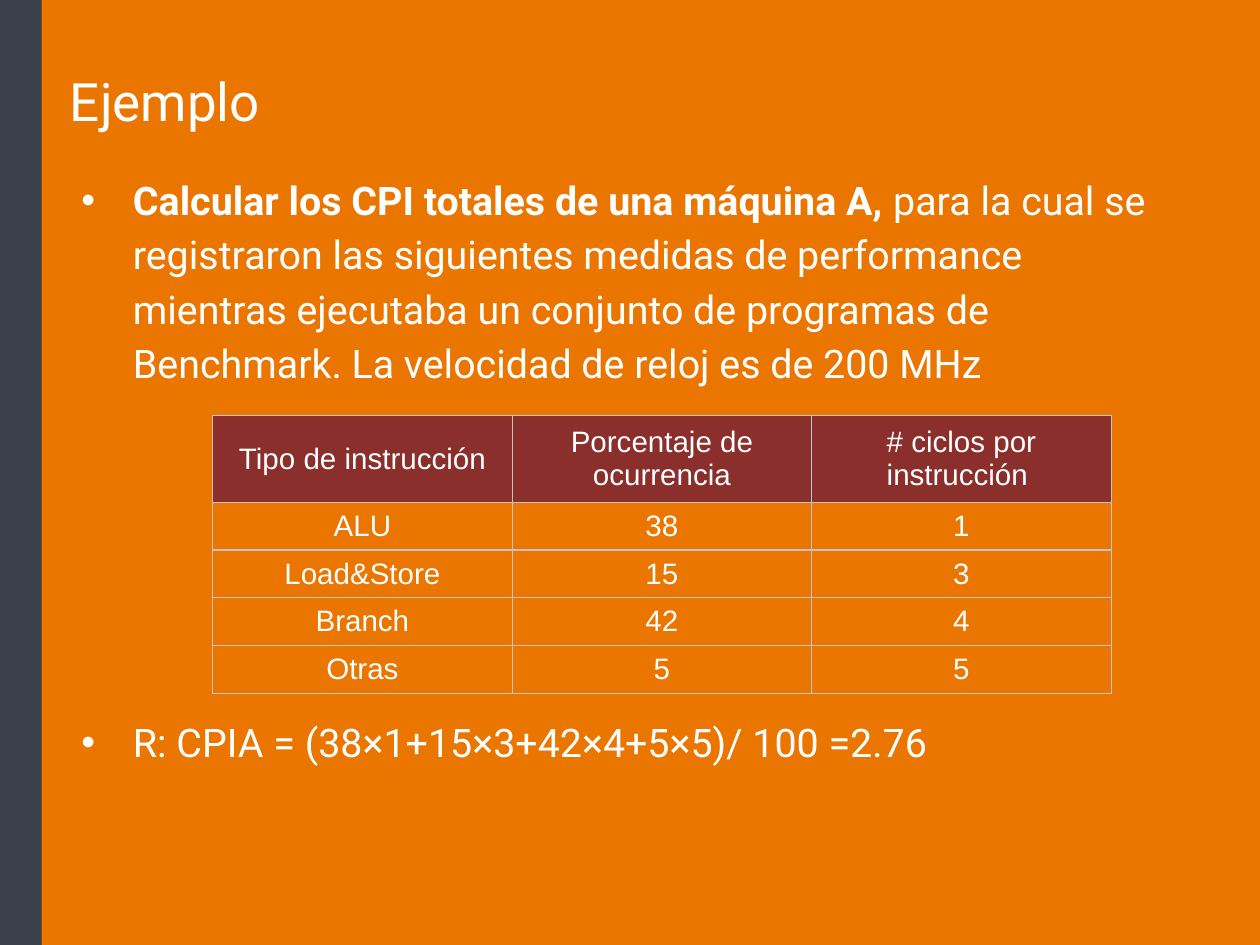
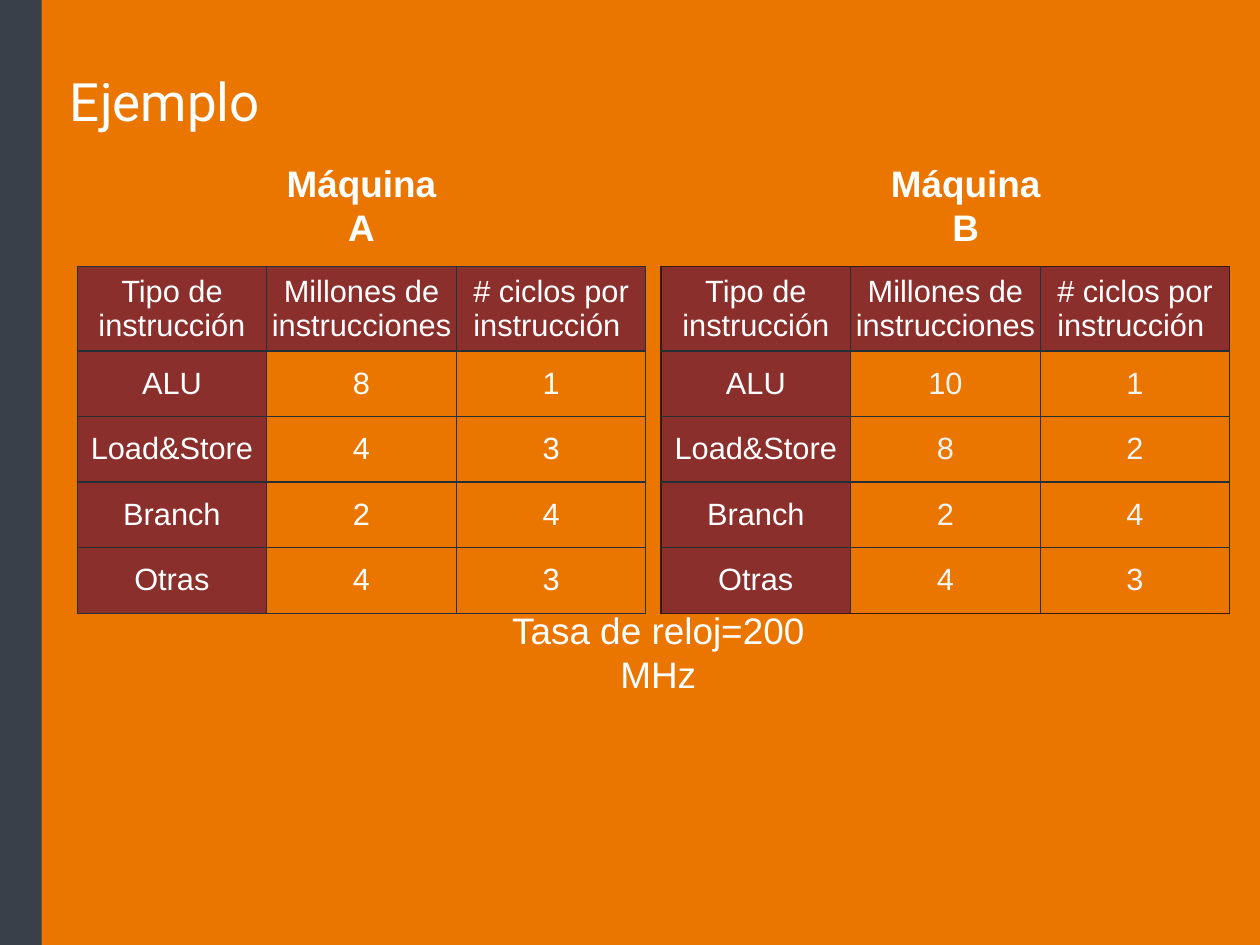
from lxml.etree import SubElement as Sub
from pptx import Presentation as Deck
from pptx.dml.color import RGBColor as RGB
from pptx.enum.shapes import MSO_SHAPE as Geo
from pptx.enum.text import MSO_ANCHOR as Anchor, PP_ALIGN as Align
from pptx.oxml import parse_xml
from pptx.oxml.ns import nsdecls, qn
from pptx.util import Inches, Pt

HUES = {
    "back": "EA7600",
    "band": "394049",
    "head": "8B2F2C",
    "text": "FFFFFF",
    "soft": "F3F3F3",
    "pale": "C4C4C4",
    "dark": "252F36",
    "edge": "36190F",
}
WIDE, HIGH = 14.22, 10.67
PAD = 0.06


def hue(name):
    return RGB.from_string(HUES[name])


class Board:
    """Holds the shared style and the current slide."""

    def __init__(self):
        self.deck = Deck()
        self.deck.slide_width = Inches(WIDE)
        self.deck.slide_height = Inches(HIGH)
        fill = self.deck.slide_master.background.fill
        fill.solid()
        fill.fore_color.rgb = hue("back")
        self.slide = None

    def page(self, title):
        self.slide = self.deck.slides.add_slide(self.deck.slide_layouts[6])
        band = self.slide.shapes.add_shape(
            Geo.RECTANGLE, 0, 0, Inches(0.47), Inches(HIGH))
        band.shadow.inherit = False
        band.fill.solid()
        band.fill.fore_color.rgb = hue("band")
        band.line.fill.background()
        frame = self.frame(0.73, 0.41, 11.8, 1.44, Anchor.MIDDLE)
        self.run(frame.paragraphs[0], title, 43, "Roboto")

    def frame(self, x, y, w, h, anchor):
        box = self.slide.shapes.add_textbox(
            Inches(x), Inches(y), Inches(w), Inches(h))
        frame = box.text_frame
        frame.word_wrap = True
        frame.vertical_anchor = anchor
        frame.margin_left = frame.margin_right = Inches(PAD)
        frame.margin_top = frame.margin_bottom = Inches(PAD)
        return frame

    def run(self, para, text, size, face="Arial", bold=False, tint="text"):
        run = para.add_run()
        run.text = text
        font = run.font
        font.size, font.name, font.bold = Pt(size), face, bold
        font.color.rgb = hue(tint)

    def label(self, x, y, w, text, bold=False):
        para = self.frame(x, y, w, 0.62, Anchor.MIDDLE).paragraphs[0]
        para.alignment = Align.CENTER
        self.run(para, text, 30, bold=bold)

    def bullets(self, x, y, w, h, items):
        """Each item is a gap above in points and its (text, bold) runs."""
        frame = self.frame(x, y, w, h, Anchor.TOP)
        for i, (gap, runs) in enumerate(items):
            para = frame.add_paragraph() if i else frame.paragraphs[0]
            para.line_spacing = 1.15
            if gap:
                para.space_before = Pt(gap)
            props = para._p.get_or_add_pPr()
            props.set("marL", str(Inches(0.71)))
            props.set("indent", str(Inches(-0.58)))
            tone = Sub(props, qn("a:buClr"))
            Sub(tone, qn("a:srgbClr")).set("val", HUES["text"])
            Sub(props, qn("a:buFont")).set("typeface", "Arial")
            Sub(props, qn("a:buChar")).set("char", "•")
            for text, bold in runs:
                self.run(para, text, 32, "Roboto", bold)

    def border(self, cell, tints):
        """Tints run left, right, top, bottom."""
        props = cell._tc.get_or_add_tcPr()
        for i, (side, tint) in enumerate(zip("LRTB", tints)):
            props.insert(i, parse_xml(
                f'<a:ln{side} {nsdecls("a")} w="{Pt(1)}"><a:solidFill>'
                f'<a:srgbClr val="{HUES[tint]}"/></a:solidFill></a:ln{side}>'))

    def table(self, x, y, wide, highs, rows, size, line, edge=None,
              side=False, tint="text"):
        edge = edge or line
        count, span = len(rows), len(rows[0])
        grid = self.slide.shapes.add_table(
            count, span, Inches(x), Inches(y),
            Inches(wide * span), Inches(sum(highs))).table
        grid.first_row = grid.horz_banding = False
        for col in grid.columns:
            col.width = Inches(wide)
        for r, (row, high) in enumerate(zip(rows, highs)):
            grid.rows[r].height = Inches(high)
            for c, text in enumerate(row):
                cell = grid.cell(r, c)
                cell.vertical_anchor = Anchor.MIDDLE
                cell.margin_left = cell.margin_right = Inches(0.05)
                cell.margin_top = cell.margin_bottom = Inches(PAD)
                head = r == 0 or (side and c == 0)
                if head:
                    cell.fill.solid()
                    cell.fill.fore_color.rgb = hue("head")
                else:
                    cell.fill.background()
                outer = (c == 0, c == span - 1, r == 0, r == count - 1)
                self.border(cell, [edge if o else line for o in outer])
                para = cell.text_frame.paragraphs[0]
                para.alignment = Align.CENTER
                self.run(para, text, size, tint="text" if head else tint)


KINDS = ("ALU", "Load&Store", "Branch", "Otras")
KIND, CYCLES = "Tipo de instrucción", "# ciclos por instrucción "


def rows(heads, *cols):
    return [heads, *zip(KINDS, *cols)]


def main():
    board = Board()

    # Total CPI of machine A
    board.page("Ejemplo")
    board.bullets(0.73, 1.85, 12.59, 8.4, [
        (0, [("Calcular los CPI totales de una máquina A,", True),
             (" para la cual se registraron las siguientes medidas de "
              "performance mientras ejecutaba un conjunto de programas de "
              "Benchmark. La velocidad de reloj es de 200 MHz", False)]),
        (264, [("R: CPIA = (38×1+15×3+42×4+5×5)/ 100 =2.76", False)]),
    ])
    board.table(2.4, 4.69, 3.38, [0.98] + [0.54] * 4,
                rows((KIND, "Porcentaje de ocurrencia", CYCLES),
                     ("38", "15", "42", "5"), "1345"), 24, "pale")

    # Machines A and B side by side
    board.page("Ejemplo")
    heads = (KIND, "Millones de instrucciones", CYCLES)
    board.table(0.87, 3.01, 2.14, [0.88] + [0.74] * 4,
                rows(heads, "8424", "1343"), 25, "dark", side=True)
    board.table(7.46, 3.01, 2.14, [0.93] + [0.74] * 4,
                rows(heads, ("10", "8", "2", "4"), "1243"), 25, "dark",
                edge="edge", side=True, tint="soft")
    board.label(3.03, 2, 2.1, "Máquina A", bold=True)
    board.label(9.85, 2, 2.1, "Máquina B", bold=True)
    board.label(5.28, 7.05, 4.3, "Tasa de reloj=200 MHz")

    board.deck.save("out.pptx")


if __name__ == "__main__":
    main()
